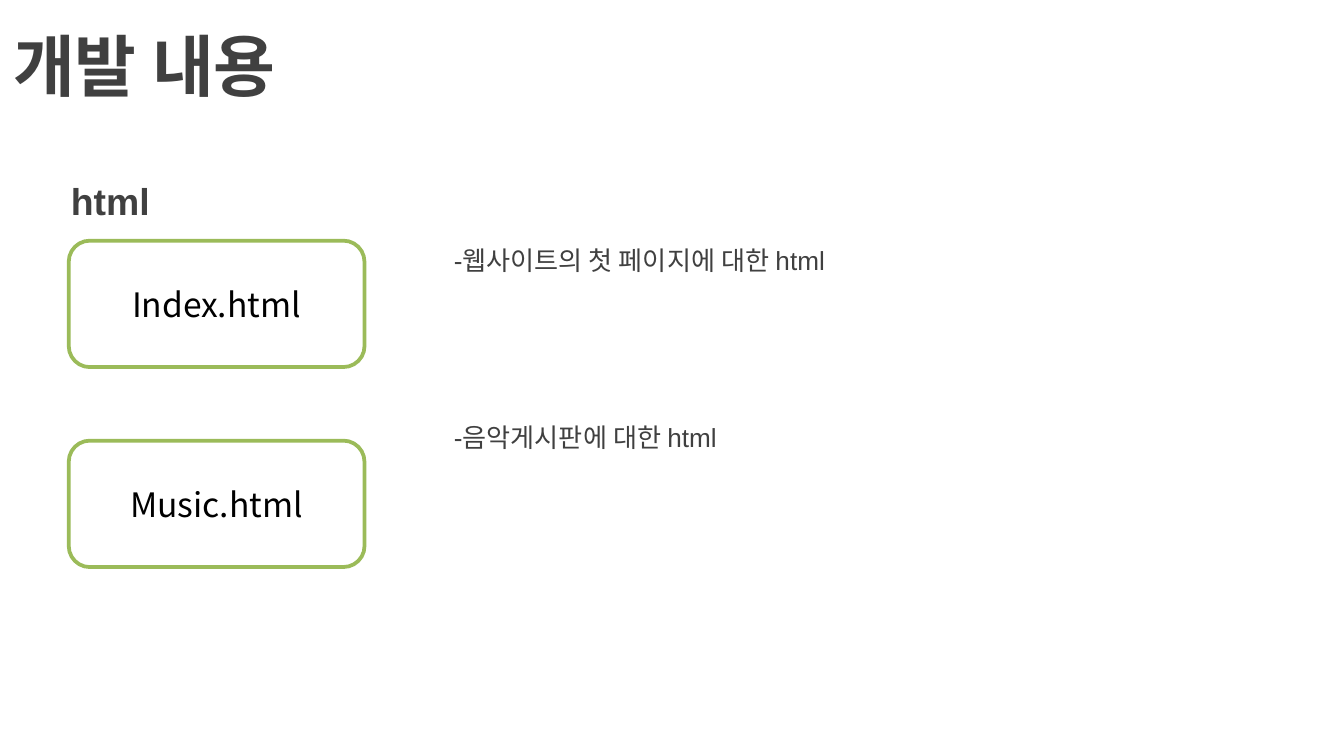
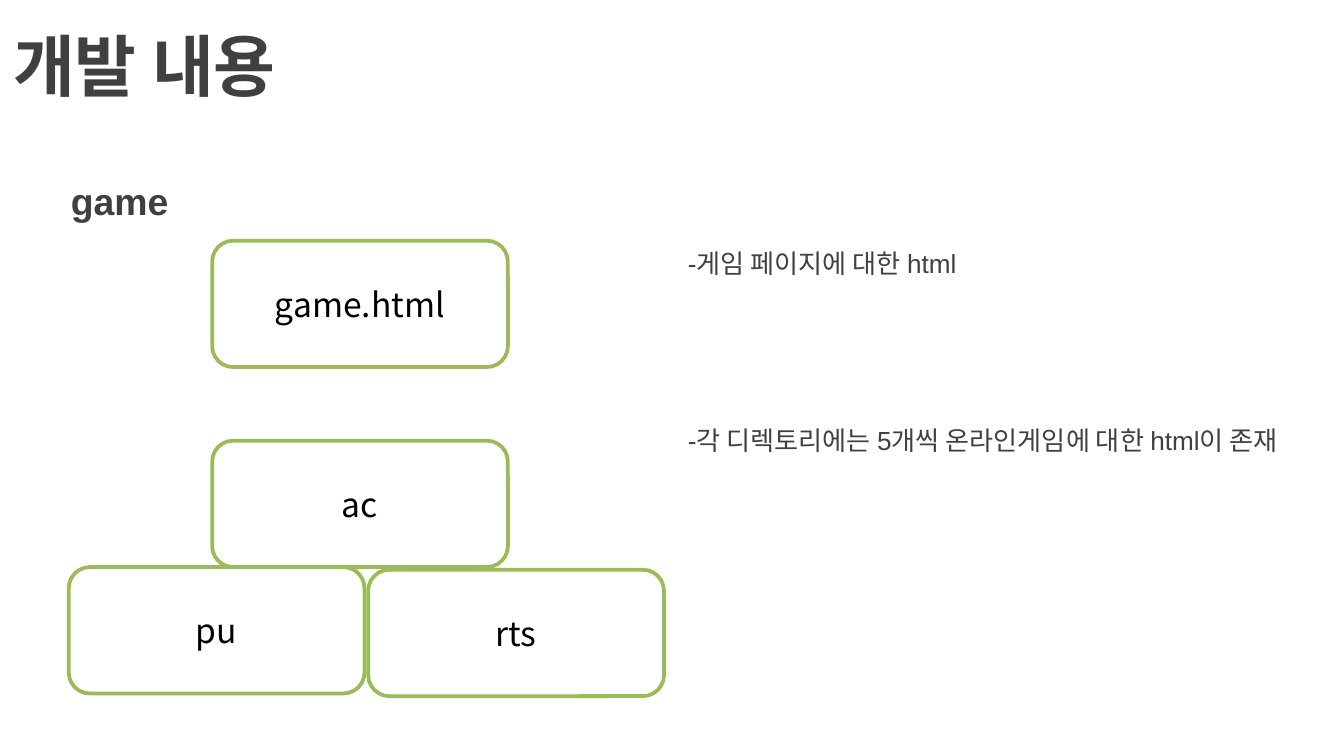
from pptx import Presentation
from pptx.dml.color import RGBColor
from pptx.enum.shapes import MSO_SHAPE
from pptx.enum.text import MSO_ANCHOR, PP_ALIGN
from pptx.util import Cm, Pt

ROUND = MSO_SHAPE.ROUNDED_RECTANGLE
TOP, MIDDLE = MSO_ANCHOR.TOP, MSO_ANCHOR.MIDDLE
LEFT, CENTER = PP_ALIGN.LEFT, PP_ALIGN.CENTER

GREY = RGBColor(0x40, 0x40, 0x40)
BLACK = RGBColor(0, 0, 0)
WHITE = RGBColor(0xFF, 0xFF, 0xFF)
GREEN = RGBColor(0x9B, 0xBB, 0x59)

SANS = "Arial"
LABEL = "Noto Sans CJK KR"

WIDE, HIGH = 25.4, 14.29
EDGE = 1.3
ROW_ONE, ROW_TWO = 4.55, 8.33
BOX_WIDE, BOX_HIGH = 5.59, 2.39


def write(shape, *lines, size=14, font=SANS, color=GREY, bold=False,
          align=LEFT, anchor=MIDDLE, gap=0):
    frame = shape.text_frame
    frame.word_wrap = True
    frame.vertical_anchor = anchor
    for i, line in enumerate(lines):
        para = frame.add_paragraph() if i else frame.paragraphs[0]
        para.alignment = align
        para.space_before = Pt(gap if i else 0)
        run = para.add_run()
        run.text = line
        run.font.size = Pt(size)
        run.font.name = font
        run.font.bold = bold
        run.font.color.rgb = color


def add_text(slide, x, y, w, h):
    return slide.shapes.add_textbox(Cm(x), Cm(y), Cm(w), Cm(h))


def add_notes(slide, x, y, lines):
    box = add_text(slide, x, y, 17, 8.33)
    box.text_frame.margin_left = Cm(1.09)
    write(box, *lines, anchor=TOP, gap=78)


def add_file(slide, name, x, y):
    box = slide.shapes.add_shape(ROUND, Cm(x), Cm(y), Cm(BOX_WIDE), Cm(BOX_HIGH))
    box.shadow.inherit = False
    box.fill.solid()
    box.fill.fore_color.rgb = WHITE
    box.line.color.rgb = GREEN
    box.line.width = Pt(2)
    write(box, name, size=18, font=LABEL, color=BLACK, align=CENTER)


def add_page(deck, topic):
    slide = deck.slides.add_slide(deck.slide_layouts[6])
    write(add_text(slide, 0, 0, WIDE, 2.46), "개발 내용", size=36, bold=True)
    write(add_text(slide, 1.09, 3.15, 23.6, 1.27), topic, size=20, bold=True)
    return slide


def main():
    deck = Presentation()
    deck.slide_width, deck.slide_height = Cm(WIDE), Cm(HIGH)

    html = add_page(deck, "html")
    add_notes(html, 7.49, 4.5,
              ["-웹사이트의 첫 페이지에 대한 html", "-음악게시판에 대한 html"])
    add_file(html, "Index.html", EDGE, ROW_ONE)
    add_file(html, "Music.html", EDGE, ROW_TWO)

    game = add_page(deck, "game")
    add_notes(game, 11.91, 4.55,
              ["-게임 페이지에 대한 html",
               "-각 디렉토리에는 5개씩 온라인게임에 대한 html이 존재"])
    mid = 4.01
    low = ROW_TWO + BOX_HIGH
    add_file(game, "game.html", mid, ROW_ONE)
    add_file(game, "ac", mid, ROW_TWO)
    add_file(game, "pu", EDGE, low)
    add_file(game, "rts", EDGE + BOX_WIDE + 0.07, low + 0.05)

    deck.save("out.pptx")


if __name__ == "__main__":
    main()
